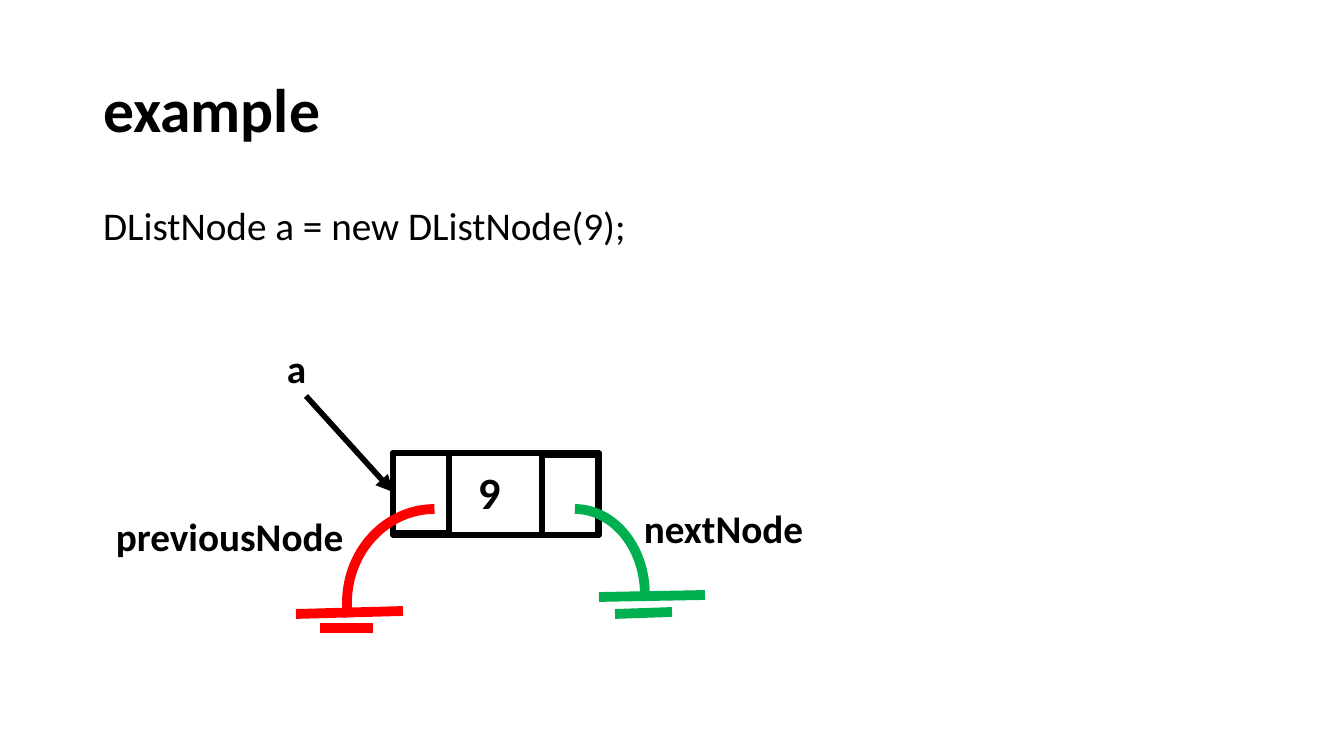
from dataclasses import dataclass

from pptx import Presentation
from pptx.dml.color import RGBColor
from pptx.enum.shapes import MSO_CONNECTOR as Connector, MSO_SHAPE as Shape
from pptx.enum.text import MSO_ANCHOR as Anchor, MSO_AUTO_SIZE as AutoSize, PP_ALIGN as Align
from pptx.oxml.ns import qn
from pptx.oxml.xmlchemy import OxmlElement
from pptx.util import Emu, Pt

EMU_PER_PIXEL = 914400 / 100.8
FONT = "Calibri"
COLORS = {"black": "000000", "next": "00B050", "previous": "FF0000"}


@dataclass(frozen=True)
class Box:
    left: int
    top: int
    width: int
    height: int


@dataclass(frozen=True)
class Segment:
    x1: int
    y1: int
    x2: int
    y2: int


@dataclass(frozen=True)
class NullLink:
    color: str
    arc: Box
    bars: tuple[Segment, ...]
    flipped: bool = False
    end_angle: float = 0


@dataclass(frozen=True)
class Label:
    text: str
    box: Box
    size: int = 28


CELLS = (Box(393, 453, 206, 82), Box(393, 453, 56, 80), Box(542, 455, 56, 80))
POINTER = Segment(306, 396, 393, 492)
LINKS = (
    NullLink("next", Box(505, 509, 140, 171),
             (Segment(599, 597, 705, 595), Segment(615, 614, 672, 612))),
    NullLink("previous", Box(347, 509, 175, 188),
             (Segment(296, 614, 403, 611), Segment(320, 628, 373, 628)),
             flipped=True, end_angle=5.59),
)
LABELS = (
    Label("a", Box(277, 339, 219, 57)),
    Label("nextNode", Box(634, 499, 219, 57)),
    Label("previousNode", Box(106, 507, 258, 57)),
    Label("9", Box(468, 460, 93, 65), 32),
)


def px(value: int) -> Emu:
    return Emu(round(value * EMU_PER_PIXEL))


def place(box: Box) -> tuple[Emu, ...]:
    return px(box.left), px(box.top), px(box.width), px(box.height)


def write(frame, text: str, *, size: int, bold: bool = False, anchor=Anchor.TOP,
          spacing: float = 1.0, before: int = 0) -> None:
    frame.word_wrap = True
    frame.auto_size = AutoSize.NONE
    frame.vertical_anchor = anchor
    para = frame.paragraphs[0]
    para.alignment = Align.LEFT
    para.line_spacing = spacing
    para.space_before = Pt(before)
    span = para.add_run()
    span.text = text
    span.font.name = FONT
    span.font.size = Pt(size)
    span.font.bold = bold
    span.font.color.rgb = RGBColor.from_string(COLORS["black"])


def fill_placeholder(holder, box: Box, text: str, **style) -> None:
    holder.left, holder.top, holder.width, holder.height = place(box)
    write(holder.text_frame, text, spacing=0.9, **style)


def remove_bullet(para) -> None:
    properties = para._p.get_or_add_pPr()
    properties.set("marL", "0")
    properties.set("indent", "0")
    properties.append(OxmlElement("a:buNone"))


def set_line(item, color: str, width: float) -> None:
    item.line.color.rgb = RGBColor.from_string(COLORS[color])
    item.line.width = Pt(width)


def draw_outline(shapes, kind, box: Box, color: str, width: float):
    shape = shapes.add_shape(kind, *place(box))
    shape.shadow.inherit = False
    shape.fill.background()
    set_line(shape, color, width)
    return shape


def draw_segment(shapes, segment: Segment, color: str, width: float, arrow: bool = False) -> None:
    line = shapes.add_connector(Connector.STRAIGHT, px(segment.x1), px(segment.y1),
                                px(segment.x2), px(segment.y2))
    set_line(line, color, width)
    properties = line._element.spPr
    if arrow:
        head = OxmlElement("a:tailEnd")
        head.set("type", "triangle")
        properties.find(qn("a:ln")).append(head)
    properties.append(OxmlElement("a:effectLst"))


def draw_link(page, link: NullLink) -> None:
    shapes = page.shapes.add_group_shape().shapes
    arc = draw_outline(shapes, Shape.ARC, link.arc, link.color, 7)
    arc.adjustments[0] = 162
    arc.adjustments[1] = link.end_angle
    if link.flipped:
        arc._element.spPr.find(qn("a:xfrm")).set("flipH", "1")
    for bar in link.bars:
        draw_segment(shapes, bar, link.color, 7)


def draw_label(page, label: Label) -> None:
    box = page.shapes.add_textbox(*place(label.box))
    write(box.text_frame, label.text, size=label.size, bold=True)


deck = Presentation()
deck.slide_width, deck.slide_height = px(1344), px(756)
page = deck.slides.add_slide(deck.slide_layouts[1])

title, body = page.placeholders
fill_placeholder(title, Box(93, 40, 1159, 146), "example",
                 size=44, bold=True, anchor=Anchor.MIDDLE)
fill_placeholder(body, Box(93, 202, 1159, 70), "DListNode a = new DListNode(9);",
                 size=28, before=10)
remove_bullet(body.text_frame.paragraphs[0])

node = page.shapes.add_group_shape()
for cell in CELLS:
    draw_outline(node.shapes, Shape.RECTANGLE, cell, "black", 3.75)
draw_segment(page.shapes, POINTER, "black", 4, arrow=True)
for link in LINKS:
    draw_link(page, link)
for label in LABELS:
    draw_label(page, label)

deck.save("out.pptx")
